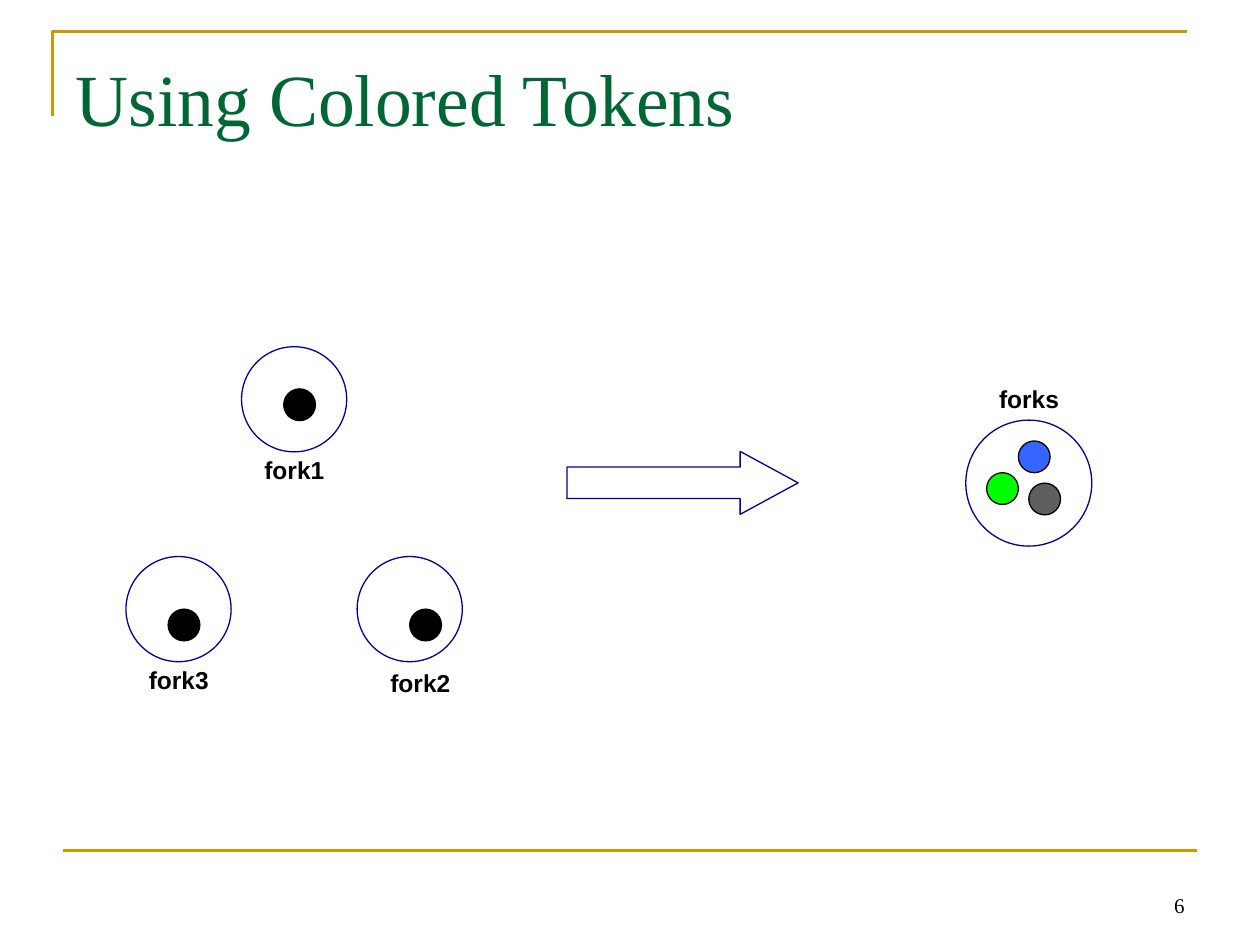
from pptx import Presentation
from pptx.dml.color import RGBColor
from pptx.enum.shapes import MSO_CONNECTOR, MSO_SHAPE
from pptx.enum.text import MSO_ANCHOR, MSO_AUTO_SIZE, PP_ALIGN
from pptx.oxml.ns import qn
from pptx.util import Cm, Pt
from lxml import etree

OVAL = MSO_SHAPE.OVAL
ARROW = MSO_SHAPE.RIGHT_ARROW
LINE = MSO_CONNECTOR.STRAIGHT
TOP, BOTTOM = MSO_ANCHOR.TOP, MSO_ANCHOR.BOTTOM
LEFT, RIGHT = PP_ALIGN.LEFT, PP_ALIGN.RIGHT
GROW = MSO_AUTO_SIZE.SHAPE_TO_FIT_TEXT

HUES = {
    "gold": "CC9900",
    "title": "006633",
    "navy": "000099",
    "black": "000000",
    "gray": "5F5F5F",
    "green": "00FF00",
    "blue": "3366FF",
}
SERIF, SANS = "Times New Roman", "Arial"
DOT = 0.64


def hue(name):
    return RGBColor.from_string(HUES[name])


def paint(shape, line, fill=None, width=0.75):
    shape.shadow.inherit = False
    if fill:
        shape.fill.solid()
        shape.fill.fore_color.rgb = hue(fill)
    else:
        shape.fill.background()
    shape.line.color.rgb = hue(line)
    shape.line.width = Pt(width)


def add_form(slide, kind, box, line, fill=None):
    shape = slide.shapes.add_shape(kind, *map(Cm, box))
    paint(shape, line, fill)
    return shape


def add_text(slide, box, text, size, font, color="black", bold=False,
             align=LEFT, anchor=TOP, wrap=True):
    frame = slide.shapes.add_textbox(*map(Cm, box)).text_frame
    frame.word_wrap = wrap
    frame.vertical_anchor = anchor
    para = frame.paragraphs[0]
    para.alignment = align
    run = para.add_run()
    run.text = text
    run.font.size = Pt(size)
    run.font.name = font
    run.font.bold = bold
    run.font.color.rgb = hue(color)
    return frame


def add_frame(slide, box):
    x, y, w, h = box
    pen = slide.shapes.build_freeform(Cm(x), Cm(y + 1.69))
    pen.add_line_segments([(Cm(x), Cm(y)), (Cm(x + w), Cm(y))], close=False)
    paint(pen.convert_to_shape(), "gold", width=1.5)
    base = y + h
    rule = slide.shapes.add_connector(
        LINE, Cm(x + 0.21), Cm(base), Cm(x + 0.21 + w), Cm(base))
    rule.line.color.rgb = hue("gold")
    rule.line.width = Pt(1.5)
    etree.SubElement(rule._element.spPr, qn("a:effectLst"))


def add_title(slide, box, text):
    frame = add_text(slide, box, text, 42, SERIF, "title")
    frame.margin_top = Cm(0.3)


def add_place(slide, box, name, shift, dots):
    x, y, size = box
    add_form(slide, OVAL, (x, y, size, size), "navy")
    dx, dy = shift
    label = add_text(slide, (x + dx, y + dy, 1.73, 0.84), name, 14, SANS,
                     bold=True, wrap=False)
    label.auto_size = GROW
    for dx, dy, fill in dots:
        add_form(slide, OVAL, (x + dx, y + dy, DOT, DOT), "black", fill)


def add_forks(slide, box):
    x, y = box
    size = 2.12
    low = y + 4.23
    add_place(slide, (x + 2.33, y, size), "fork1", (0.21, 2.06),
              [(0.85, 0.85, "black")])
    add_place(slide, (x + 4.66, low, size), "fork2", (0.42, 2.12),
              [(1.06, 1.06, "black")])
    add_place(slide, (x, low, size), "fork3", (0.21, 2.06),
              [(0.85, 1.06, "black")])


def add_arrow(slide, box):
    arrow = add_form(slide, ARROW, box, "navy")
    arrow.adjustments[0] = 0.5
    arrow.adjustments[1] = 0.92


def main():
    deck = Presentation()
    deck.slide_width, deck.slide_height = Cm(25.4), Cm(19.05)
    slide = deck.slides.add_slide(deck.slide_layouts[6])
    add_frame(slide, (1.06, 0.64, 22.86, 16.51))
    add_title(slide, (1.27, 0.76, 22.86, 3.18), "Using Colored Tokens")
    add_forks(slide, (2.54, 6.99))
    add_arrow(slide, (11.43, 9.1, 4.66, 1.27))
    add_place(slide, (19.47, 8.47, 2.54), "forks", (0.42, -0.85),
              [(1.27, 1.27, "gray"), (0.42, 1.06, "green"),
               (1.06, 0.42, "blue")])
    add_text(slide, (18.2, 17.36, 5.93, 1.27), "6", 12, SERIF,
             align=RIGHT, anchor=BOTTOM)
    deck.save("out.pptx")


if __name__ == "__main__":
    main()
